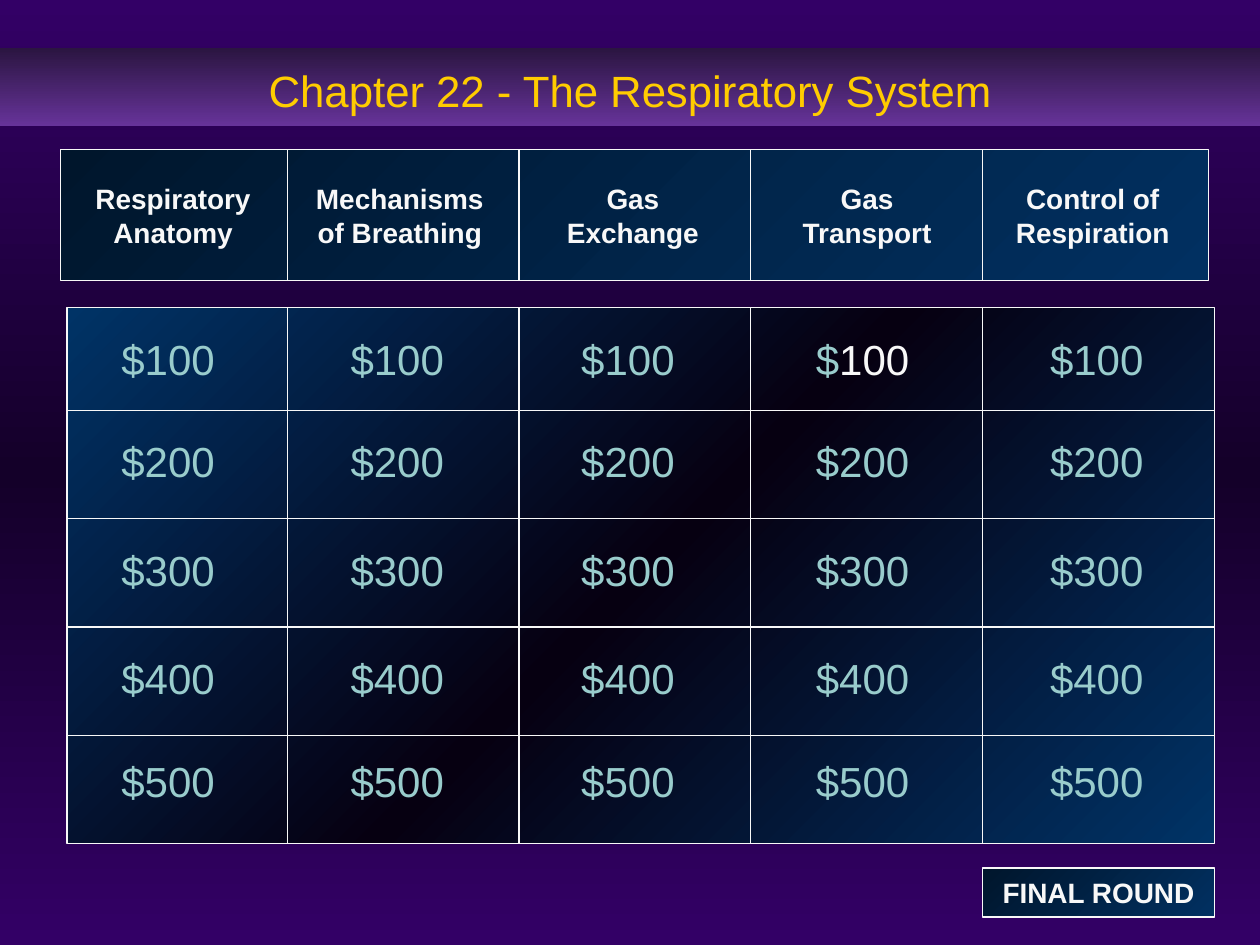
from lxml.etree import SubElement
from pptx import Presentation
from pptx.dml.color import RGBColor
from pptx.enum.shapes import MSO_CONNECTOR, MSO_SHAPE
from pptx.enum.text import MSO_ANCHOR, MSO_AUTO_SIZE, PP_ALIGN
from pptx.oxml.ns import qn
from pptx.util import Cm, Pt

TITLE = "Chapter 22 - The Respiratory System"
FINAL = "FINAL ROUND"
CATEGORIES = [
    {"name": "Respiratory Anatomy", "center": 3.49, "width": 4.24, "price_center": 3.39},
    {"name": "Mechanisms of Breathing", "center": 8.06, "width": 4.24, "price_center": 8.01},
    {"name": "Gas Exchange", "center": 12.76, "width": 4.24, "price_center": 12.66},
    {"name": "Gas Transport", "center": 17.48, "width": 4.01, "price_center": 17.39},
    {"name": "Control of Respiration", "center": 22.03, "width": 4.24, "price_center": 22.11},
]
PRICES = [("100", 6.6), ("200", 8.66), ("300", 10.85), ("400", 13.03), ("500", 15.11)]
HIGHLIGHT = ("Gas Transport", "100")

WHITE, TEAL, GOLD = "F8F8F8", "99CCCC", "FFCC00"
BACKGROUND = ([(0, "330066"), (50, "140029"), (100, "330066")], 90)
BAND = ([(0, "2B1541"), (100, "663399")], 90)
BOARD = ([(0, "003366"), (50, "060011"), (100, "003366")], 225)
PANEL = ([(0, "013061"), (100, "00162C")], 225)

LABEL_FONT = {"name": "Arial", "size": Pt(16), "bold": True}
PRICE_FONT = {"name": "Arial", "size": Pt(24)}
TITLE_FONT = {"name": "Arial", "size": Pt(25)}

BOARD_LEFT, BOARD_TOP, BOARD_WIDTH, BOARD_HEIGHT = 1.35, 6.2, 23.14, 10.8
HEADER_LEFT, HEADER_TOP, HEADER_HEIGHT = 1.22, 3.02, 2.64
COLUMN_START, COLUMN_STEP = 5.79, 4.67
ROW_START, ROW_STEP = 8.28, 2.18
PRICE_WIDTH = 3.02


def color(value):
    return RGBColor.from_string(value)


def paint_gradient(fill, element, gradient):
    stops, angle = gradient
    fill.gradient()
    fill.gradient_angle = 360 - angle
    stop_list = next(element.iter(qn("a:gsLst")))
    for stop in list(stop_list):
        stop_list.remove(stop)
    for position, value in stops:
        stop = SubElement(stop_list, qn("a:gs"), pos=str(position * 1000))
        SubElement(stop, qn("a:srgbClr"), val=value)


def add_panel(page, left, top, width, height, gradient, outlined=True):
    panel = page.shapes.add_shape(
        MSO_SHAPE.RECTANGLE, Cm(left), Cm(top), Cm(width), Cm(height))
    panel.shadow.inherit = False
    paint_gradient(panel.fill, panel.element, gradient)
    if outlined:
        panel.line.color.rgb = color(WHITE)
        panel.line.width = Pt(0.75)
    else:
        panel.line.fill.background()
    return panel


def write_text(box, spans, font_values, wrap=True):
    frame = box.text_frame
    frame.word_wrap = wrap
    frame.vertical_anchor = MSO_ANCHOR.MIDDLE
    para = frame.paragraphs[0]
    para.alignment = PP_ALIGN.CENTER
    for text, value in spans:
        span = para.add_run()
        span.text = text
        for name, setting in font_values.items():
            setattr(span.font, name, setting)
        span.font.color.rgb = color(value)
    return para


def add_label(page, center, top, width, height, spans, font_values):
    box = page.shapes.add_textbox(Cm(center - width / 2), Cm(top), Cm(width), Cm(height))
    write_text(box, spans, font_values)
    box.text_frame.auto_size = MSO_AUTO_SIZE.SHAPE_TO_FIT_TEXT


def add_rule(page, x1, y1, x2, y2):
    rule = page.shapes.add_connector(
        MSO_CONNECTOR.STRAIGHT, Cm(x1), Cm(y1), Cm(x2), Cm(y2))
    rule.line.color.rgb = color(WHITE)
    rule.line.width = Pt(0.75)
    SubElement(rule.element.spPr, qn("a:effectLst"))


def main():
    deck = Presentation()
    deck.slide_width, deck.slide_height = Cm(25.4), Cm(19.05)
    page = deck.slides.add_slide(deck.slide_layouts[6])
    paint_gradient(page.background.fill, page.element, BACKGROUND)

    add_panel(page, BOARD_LEFT, BOARD_TOP, BOARD_WIDTH, BOARD_HEIGHT, BOARD)
    band = add_panel(page, 0, 0.97, 25.4, 1.57, BAND, outlined=False)
    write_text(band, [(TITLE, GOLD)], TITLE_FONT).line_spacing = 1.1
    add_panel(page, HEADER_LEFT, HEADER_TOP, BOARD_WIDTH, HEADER_HEIGHT, PANEL)

    for category in CATEGORIES:
        add_label(page, category["center"], 3.53, category["width"], 1.63,
                  [(category["name"], WHITE)], LABEL_FONT)
        for amount, top in PRICES:
            if (category["name"], amount) == HIGHLIGHT:
                spans = [("$", TEAL), (amount, WHITE)]
            else:
                spans = [("$" + amount, TEAL)]
            add_label(page, category["price_center"], top, PRICE_WIDTH, 1.27,
                      spans, PRICE_FONT)

    for index in range(len(CATEGORIES) - 1):
        x = COLUMN_START + index * COLUMN_STEP
        add_rule(page, x, HEADER_TOP, x, HEADER_TOP + HEADER_HEIGHT)
        add_rule(page, x, BOARD_TOP, x, BOARD_TOP + BOARD_HEIGHT)
    for index in range(len(PRICES) - 1):
        y = ROW_START + index * ROW_STEP
        add_rule(page, BOARD_LEFT, y, BOARD_LEFT + BOARD_WIDTH, y)

    final = add_panel(page, 19.81, 17.5, 4.67, 0.99, PANEL)
    write_text(final, [(FINAL, WHITE)], LABEL_FONT, wrap=False)
    deck.save("out.pptx")


if __name__ == "__main__":
    main()
